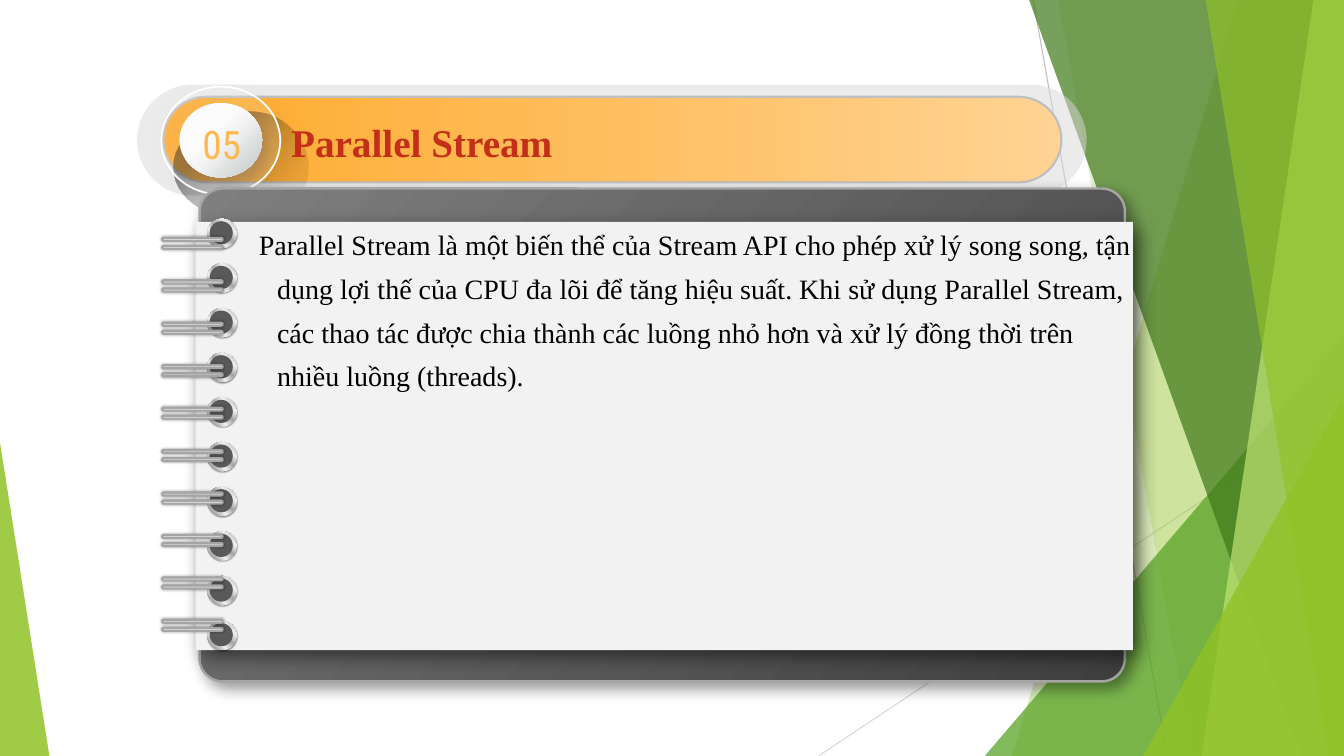
import pptx
import pptx.util
import pptx.dml.color
import pptx.enum.shapes
import pptx.enum.text
import pptx.oxml
import pptx.oxml.ns

KIND = pptx.enum.shapes.MSO_SHAPE
qn = pptx.oxml.ns.qn

# The slide is a grid of 75 rows of square cells, a tenth of an inch each
CELL = 91440
WIDTH, HEIGHT = 133.33, 75

COLORS = {
    "lime": "90C226", "green": "54A021", "forest": "3F7819", "pale": "C0E474",
    "white": "FFFFFF", "black": "000000", "orange": "FFAA2D", "peach": "FFD393",
    "number": "FFB850", "title": "C42F1A", "mist": "D9D9D9", "silver": "BFBFBF",
    "steel": "A5A5A5", "gray": "7F7F7F", "dark": "3F3F3F", "hole": "595959",
    "paper": "F2F2F2", "light": "D8D8D8", "pearl": "F7F7F7", "cool": "B8C0C0",
    "slate": "494949",
}

# Gradients: angle, then stops of position, colour and opacity
BAR = (0, [(0, "orange", 100), (100, "peach", 100)])
COVER = (45, [(0, "gray", 100), (100, "dark", 100)])
BALL = (45, [(0, "white", 100), (43, "pearl", 100), (100, "cool", 100)])
BALL_TOP = (45, [(11, "white", 100), (39, "white", 100),
                 (53, "pearl", 100), (100, "cool", 100)])
BALL_SHADE = (45, [(0, "black", 100), (17, "black", 46), (34, "black", 43),
                   (51, "black", 20), (65, "black", 10), (78, "black", 5),
                   (100, "black", 0)])
METAL = (315, [(0, "white", 100), (17, "steel", 100), (35, "paper", 100),
               (55, "steel", 100), (75, "paper", 100), (100, "steel", 100)])
WIRE = (90, [(0, "gray", 100), (23, "steel", 100), (52, "light", 100),
             (74, "white", 100), (100, "steel", 100)])

BODY = ("Parallel Stream là một biến thể của Stream API cho phép xử lý song song, "
        "tận dụng lợi thế của CPU đa lõi để tăng hiệu suất. Khi sử dụng Parallel "
        "Stream, các thao tác được chia thành các luồng nhỏ hơn và xử lý đồng thời "
        "trên nhiều luồng (threads).")


def cells(*values):
    return [round(v * CELL) for v in values]


def rgb(name):
    return pptx.dml.color.RGBColor.from_string(COLORS[name])


def add_child(parent, tag, **attributes):
    child = parent.makeelement(qn(tag), {k: str(v) for k, v in attributes.items()})
    parent.append(child)
    return child


def add_color(parent, name, opacity):
    color = add_child(parent, "a:srgbClr", val=COLORS[name])
    if opacity < 100:
        add_child(color, "a:alpha", val=opacity * 1000)


def paint(shape, fill, opacity=100, line=None, shadow=None):
    """Fill is a colour name or a gradient; shadow is colour, opacity, blur, distance, angle."""
    props = shape._element.spPr
    if isinstance(fill, str):
        shape.fill.solid()
        solid = props.find(qn("a:solidFill"))
        add_color(solid, fill, opacity)
    else:
        angle, stops = fill
        shape.fill.gradient()
        grad = props.find(qn("a:gradFill"))
        for child in list(grad):
            grad.remove(child)
        stop_list = add_child(grad, "a:gsLst")
        for position, name, alpha in stops:
            add_color(add_child(stop_list, "a:gs", pos=position * 1000), name, alpha)
        add_child(grad, "a:lin", ang=angle * 60000, scaled=0)
    if line:
        shape.line.color.rgb = rgb(line[0])
        shape.line.width = pptx.util.Pt(line[1])
    else:
        shape.line.fill.background()
    shape.shadow.inherit = False
    if shadow:
        name, alpha, blur, distance, angle = shadow
        outer = add_child(props.find(qn("a:effectLst")), "a:outerShdw",
                          blurRad=blur * 12700, dist=distance * 12700,
                          dir=angle * 60000, algn="ctr", rotWithShape=0)
        add_color(outer, name, alpha)


def add_preset(s, kind, box, fill, adj=None, **style):
    shape = s.shapes.add_shape(kind, *cells(*box))
    if adj is not None:
        shape.adjustments[0] = adj
    paint(shape, fill, **style)


def add_outline(s, points, fill, **style):
    builder = s.shapes.build_freeform(*cells(*points[0]), scale=1.0)
    builder.add_line_segments([cells(*p) for p in points[1:]], close=True)
    shape = builder.convert_to_shape()
    paint(shape, fill, **style)
    return shape


def add_thin_line(s, start, end, color):
    line = s.shapes.add_connector(pptx.enum.shapes.MSO_CONNECTOR.STRAIGHT,
                                  *cells(*start, *end))
    line.line.color.rgb = rgb(color)
    line.line.width = pptx.util.Pt(0.75)
    add_child(line._element.spPr, "a:effectLst")


def add_text(s, box, text, size, font, color, bold=False):
    tf = s.shapes.add_textbox(*cells(*box)).text_frame
    tf.word_wrap = True
    tf.auto_size = pptx.enum.text.MSO_AUTO_SIZE.SHAPE_TO_FIT_TEXT
    tf.text = text
    p = tf.paragraphs[0]
    r = p.runs[0]
    r.font.size, r.font.name, r.font.bold = pptx.util.Pt(size), font, bold
    r.font.color.rgb = rgb(color)
    return p


def curve_points(start, curves, steps=12):
    """Points along a chain of cubic curves."""
    points = [start]
    for c1, c2, end in curves:
        begin = points[-1]
        for i in range(1, steps + 1):
            t = i / steps
            u = 1 - t
            points.append(tuple(u**3 * a + 3 * u * u * t * b + 3 * u * t * t * c + t**3 * d
                                for a, b, c, d in zip(begin, c1, c2, end)))
    return points


def add_facets(s):
    add_thin_line(s, (102.5, 0), (115.8, HEIGHT), "silver")
    add_thin_line(s, (WIDTH, 40.3), (81.2, HEIGHT), "mist")

    def band(top, bottom, color, opacity):
        add_outline(s, [(top, 0), (WIDTH, 0), (WIDTH, HEIGHT), (bottom, HEIGHT)],
                    color, opacity=opacity)

    def corner(left, top, width, apex, color, opacity):
        add_preset(s, KIND.ISOSCELES_TRIANGLE, (left, top, width, HEIGHT - top),
                   color, adj=apex, opacity=opacity)

    band(122.8, 100.4, "lime", 30)
    band(105, 118.3, "lime", 20)
    corner(97.7, 33.3, 35.6, 1, "green", 72)
    band(102.1, 129.1, "forest", 70)
    band(130.3, 119.2, "pale", 70)
    band(119.6, 131.8, "lime", 65)
    corner(113.4, 39.3, 19.9, 1, "lime", 80)
    corner(0, 43.9, 4.9, 0, "lime", 85)


def add_heading(s):
    add_preset(s, KIND.ROUNDED_RECTANGLE, (13.6, 8.4, 94.2, 11), "mist", adj=0.5, opacity=50)
    add_preset(s, KIND.ROUNDED_RECTANGLE, (16.2, 9.6, 89.1, 8.5), BAR, adj=0.5,
               line=("silver", 1.5))
    # Number ball with its soft shade
    shade = curve_points((20.1, 20.4), [
        ((18, 17.3), (17.1, 13.9), (19.3, 11.7)),
        ((21.4, 9.6), (25, 10.4), (27.9, 12.6)),
        ((30.9, 14.8), (30.9, 19), (28.7, 21.2)),
        ((26.6, 23.3), (22.2, 23.4), (20.1, 20.4))])
    add_outline(s, shade, (90, BALL_SHADE[1])).rotation = 315
    add_preset(s, KIND.OVAL, (18.7, 11.2, 6.9, 6.2), BALL, shadow=("slate", 30, 11, 7, 45))
    add_preset(s, KIND.OVAL, (17.8, 10.2, 8.2, 7.4), BALL_TOP)
    add_preset(s, KIND.OVAL, (16, 8.6, 11.8, 10.7), "white", opacity=14,
               line=("white", 1.25), shadow=("black", 11, 17, 7, 45))
    add_text(s, (19.1, 11.4, 6.8, 5.7), "05", 28, "Roboto Condensed", "number")
    add_text(s, (27.9, 11.2, 75.5, 5.7), "Parallel Stream", 28, "Times New Roman",
             "title", bold=True)


def add_notebook(s):
    add_preset(s, KIND.ROUNDED_RECTANGLE, (19.8, 18.7, 91.8, 48.9), COVER, adj=0.047,
               line=("steel", 1.75), shadow=("black", 40, 11, 6, 45))
    add_preset(s, KIND.RECTANGLE, (19.4, 22, 93, 42.5), "paper",
               shadow=("black", 50, 14, 7, 45))
    # Ten punched holes, then ten double wires
    for i in range(10):
        x, y = 22, 23.15 + 4.43 * i
        add_preset(s, KIND.OVAL, (x - 1.45, y - 1.45, 2.9, 2.9), METAL,
                   shadow=("black", 40, 1, 1, 45))
        add_preset(s, KIND.OVAL, (x - 1.2, y - 1.2, 2.3, 2.3), "hole")
    for i in range(10):
        for offset in (0.8, 0):
            add_preset(s, KIND.ROUNDED_RECTANGLE, (16.1, 23.6 + 4.21 * i + offset, 6, 0.3),
                       WIRE, adj=0.5, line=("steel", 1.5), shadow=("black", 40, 2, 0, 0))
    p = add_text(s, (22.7, 21.1, 91.1, 18.5), BODY, 20, "Times New Roman", "black")
    p.line_spacing = 1.3
    indent = p._p.get_or_add_pPr()
    indent.set("marL", str(cells(3.8)[0]))
    indent.set("indent", str(cells(-1.8)[0]))


def main():
    prs = pptx.Presentation()
    prs.slide_width, prs.slide_height = cells(WIDTH, HEIGHT)
    s = prs.slides.add_slide(prs.slide_layouts[6])
    add_facets(s)
    add_heading(s)
    add_notebook(s)
    prs.save("out.pptx")


if __name__ == "__main__":
    main()
